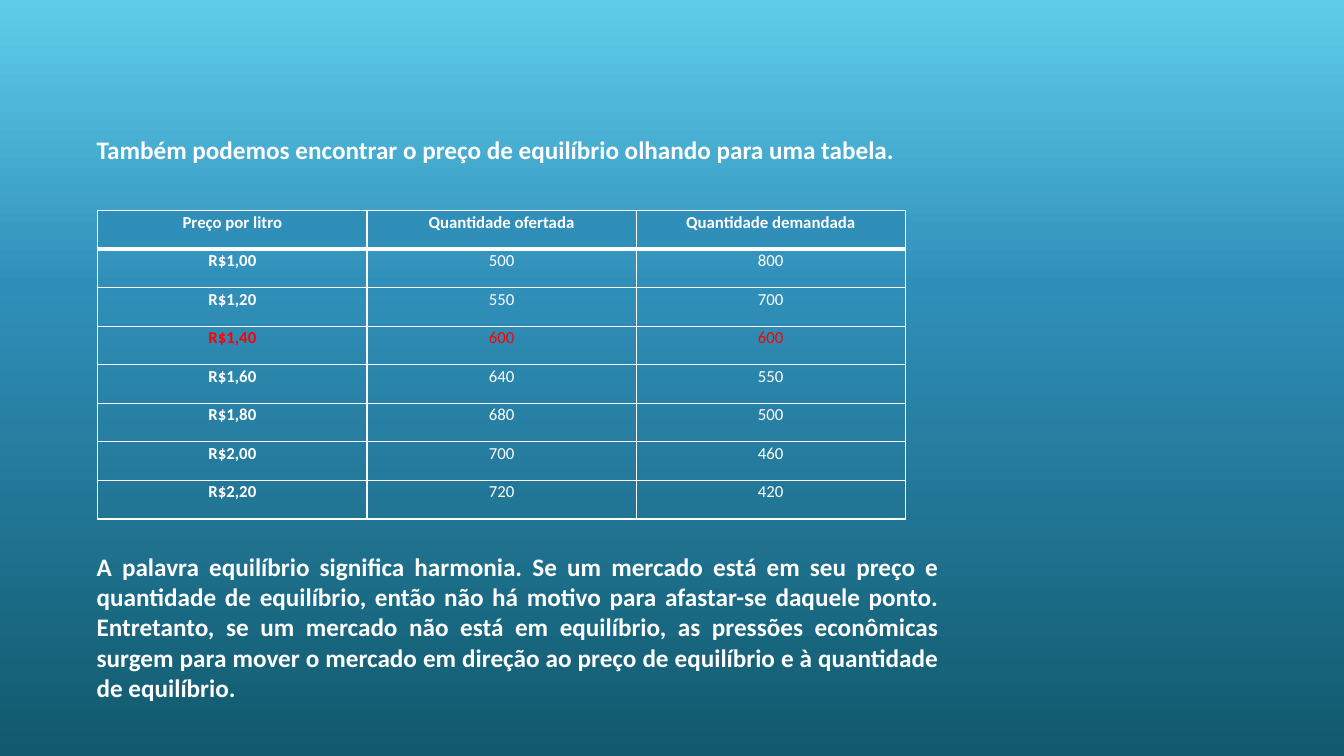
from copy import deepcopy

from lxml.etree import SubElement
from pptx import Presentation
from pptx.dml.color import RGBColor
from pptx.enum.text import MSO_AUTO_SIZE, PP_ALIGN
from pptx.oxml.ns import qn
from pptx.util import Inches, Pt

INTRO = "Também podemos encontrar o preço de equilíbrio olhando para uma tabela."
CONCLUSION = (
    "A palavra equilíbrio significa harmonia. Se um mercado está em seu preço e "
    "quantidade de equilíbrio, então não há motivo para afastar-se daquele ponto. "
    "Entretanto, se um mercado não está em equilíbrio, as pressões econômicas "
    "surgem para mover o mercado em direção ao preço de equilíbrio e à quantidade "
    "de equilíbrio."
)
MARKET = [
    ("Preço por litro", "Quantidade ofertada", "Quantidade demandada"),
    ("R$1,00", "500", "800"),
    ("R$1,20", "550", "700"),
    ("R$1,40", "600", "600"),
    ("R$1,60", "640", "550"),
    ("R$1,80", "680", "500"),
    ("R$2,00", "700", "460"),
    ("R$2,20", "720", "420"),
]
GRADIENT = [(0, "11596C"), (0.62, "308FB9"), (1, "5FCDEA")]


def rgb(value):
    return RGBColor.from_string(value)


class SlideBuilder:
    font = "Calibri"
    white = "FFFFFF"
    header = "308FB9"
    highlight = "FF0000"

    def __init__(self, slide):
        self.s = slide

    def background(self, stops):
        fill = self.s.background.fill
        fill.gradient()
        fill.gradient_angle = 90
        # The default gradient has two stops; add those that are missing
        gs_list = self.s.element.find(".//" + qn("a:gsLst"))
        while len(gs_list) < len(stops):
            gs_list.append(deepcopy(gs_list[0]))
        for stop, (position, color) in zip(fill.gradient_stops, stops):
            stop.position = position
            stop.color.rgb = rgb(color)

    def run(self, p, text, size, color, bold):
        r = p.add_run()
        r.text = text
        r.font.name = self.font
        r.font.size = Pt(size)
        r.font.bold = bold
        r.font.color.rgb = rgb(color)

    def text(self, text, x, y, w, h, align=PP_ALIGN.LEFT):
        tf = self.s.shapes.add_textbox(Inches(x), Inches(y), Inches(w), Inches(h)).text_frame
        tf.word_wrap = True
        tf.auto_size = MSO_AUTO_SIZE.SHAPE_TO_FIT_TEXT
        p = tf.paragraphs[0]
        p.alignment = align
        self.run(p, text, 18, self.white, True)

    def border(self, cell, side, width):
        tc_pr = cell._tc.get_or_add_tcPr()
        ln = SubElement(tc_pr, qn("a:ln" + side), w=str(Pt(width)))
        SubElement(SubElement(ln, qn("a:solidFill")), qn("a:srgbClr"), val=self.white)

    def cell(self, cell, text, color, bold, widths, fill=None):
        cell.margin_left = cell.margin_right = Inches(0.07)
        cell.margin_top = cell.margin_bottom = 0
        for side, width in widths.items():
            self.border(cell, side, width)
        if fill:
            cell.fill.solid()
            cell.fill.fore_color.rgb = rgb(fill)
        else:
            cell.fill.background()
        p = cell.text_frame.paragraphs[0]
        p.alignment = PP_ALIGN.CENTER
        p.line_spacing = 1.07
        p.space_after = Pt(8)
        self.run(p, text, 12, color, bold)

    def table(self, rows, x, y, w, h, highlighted):
        table = self.s.shapes.add_table(
            len(rows), len(rows[0]), Inches(x), Inches(y), Inches(w), Inches(h)
        ).table
        table.horz_banding = False
        for i, row in enumerate(rows):
            # The rule under the header row is thicker
            widths = {"L": 1, "R": 1, "T": 3 if i == 1 else 1, "B": 3 if i == 0 else 1}
            color = self.highlight if i == highlighted else self.white
            fill = self.header if i == 0 else None
            for j, text in enumerate(row):
                self.cell(table.cell(i, j), text, color, i == 0 or j == 0, widths, fill)


def main():
    prs = Presentation()
    prs.slide_width, prs.slide_height = Inches(13.33), Inches(7.5)
    slide = SlideBuilder(prs.slides.add_slide(prs.slide_layouts[6]))

    # Background
    slide.background(GRADIENT)

    # Introduction, market table and conclusion
    slide.text(INTRO, 0.86, 1.28, 8.55, 0.4)
    slide.table(MARKET, 0.97, 2.09, 8.01, 3.06, highlighted=3)
    slide.text(CONCLUSION, 0.86, 5.42, 8.55, 1.62, PP_ALIGN.JUSTIFY)

    prs.save("out.pptx")


if __name__ == "__main__":
    main()
